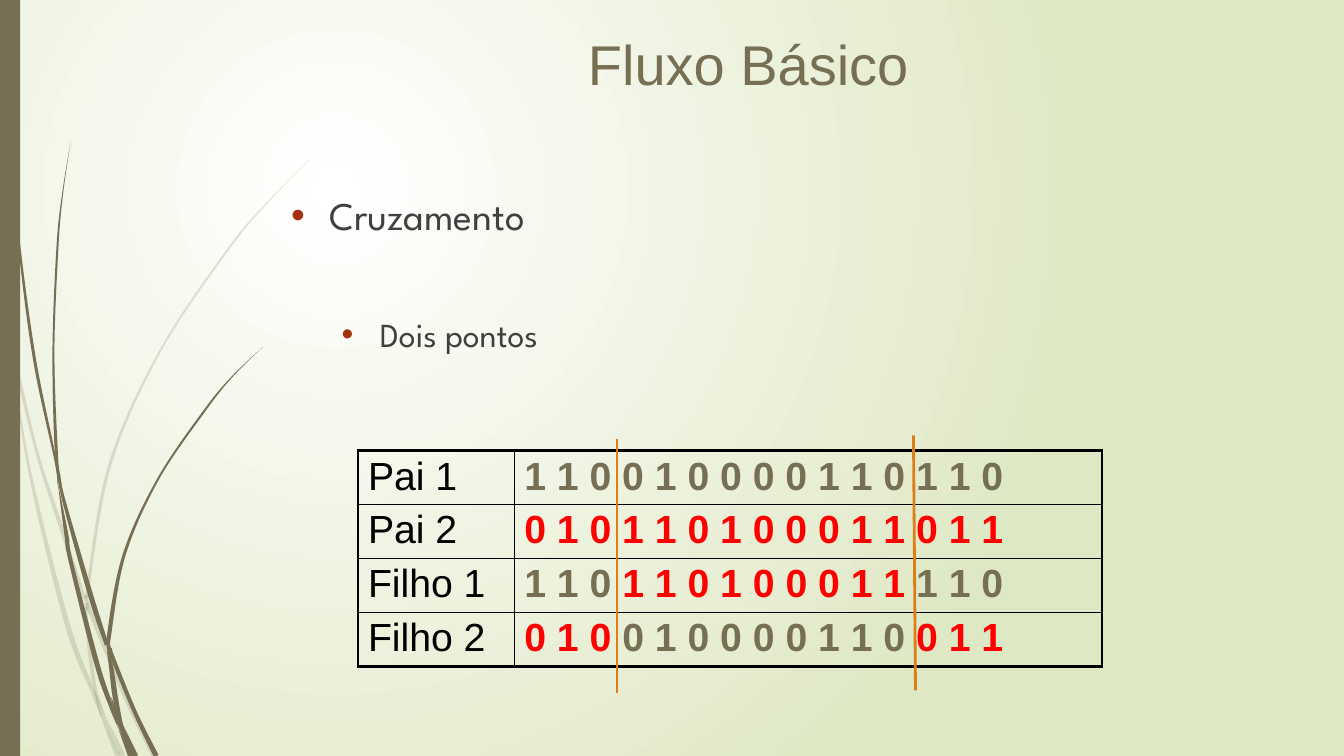
from math import hypot

from lxml import etree
from pptx import Presentation
from pptx.dml.color import RGBColor
from pptx.enum.shapes import MSO_CONNECTOR, MSO_SHAPE
from pptx.enum.text import MSO_ANCHOR, PP_ALIGN
from pptx.oxml import parse_xml
from pptx.oxml.ns import nsdecls, qn
from pptx.util import Inches, Pt

CENTER, MIDDLE = PP_ALIGN.CENTER, MSO_ANCHOR.MIDDLE
RECTANGLE, STRAIGHT = MSO_SHAPE.RECTANGLE, MSO_CONNECTOR.STRAIGHT

BROWN = RGBColor(0x76, 0x6F, 0x54)
RED = RGBColor(0xFF, 0x00, 0x00)
BLACK = RGBColor(0x00, 0x00, 0x00)
GRAY = RGBColor(0x40, 0x40, 0x40)
RUST = RGBColor(0xA5, 0x30, 0x10)
ORANGE = RGBColor(0xDE, 0x7E, 0x18)
WHITE = RGBColor(0xFF, 0xFF, 0xFF)
LIGHT_GREEN = RGBColor(0xDF, 0xE8, 0xC4)

TITLE = "Fluxo Básico"
# text, level, size, left margin in inches, space before in points
BULLETS = [("Cruzamento", 0, 28, 0.38, 10), ("Dois pontos", 1, 24, 0.88, 54)]
GENES = [
    ("Pai 1", [("1 1 0 0 1 0 0 0 0 1 1 0 1 1 0", BROWN)]),
    ("Pai 2", [("0 1 0 1 1 0 1 0 0 0 1 1 0 1 1", RED)]),
    ("Filho 1", [("1 1 0 ", BROWN), ("1 1 0 1 0 0 0 1 1 ", RED), ("1 1 0", BROWN)]),
    ("Filho 2", [("0 1 0 ", RED), ("0 1 0 0 0 0 1 1 0 ", BROWN), ("0 1 1", RED)]),
]
CUTS = [(6.12, 4.36, 6.12, 6.88), (9.06, 4.32, 9.08, 6.85)]

# Strokes of the grass blades: centre line as x, y and width, in inches
PALE_STROKES = [
    [(0, 2.9, 0.04), (0.05, 3.14, 0.03), (0.11, 3.5, 0)],
    [(0.14, 3.45, 0), (0.16, 3.62, 0.03), (0.37, 4.5, 0.03),
     (0.6, 5.21, 0.04), (0.84, 5.94, 0.03)],
    [(0.88, 5.98, 0.02), (0.9, 6.08, 0.04), (1.25, 6.93, 0.04), (1.53, 7.5, 0.05)],
    [(0.11, 3.5, 0), (0.3, 4.7, 0.03), (0.67, 6.2, 0.05), (0.93, 6.88, 0.04), (1.01, 7.14, 0)],
    [(1.01, 7.14, 0), (1.17, 7.5, 0.05)],
    [(3.12, 1.53, 0), (2.68, 1.98, 0.01), (2.28, 2.45, 0.02), (1.59, 3.48, 0.02),
     (1.09, 4.61, 0.03), (0.87, 5.84, 0.03), (0.87, 5.92, 0.02)],
    [(0.86, 5.9, 0.02), (0.86, 6, 0.04), (0.88, 6.09, 0)],
    [(0.85, 6.02, 0.02), (0.89, 6.46, 0.04), (0.95, 6.85, 0.03), (1.05, 7.11, 0)],
    [(0.93, 6.83, 0), (1.02, 7.1, 0.04), (1.19, 7.5, 0)],
    [(1.05, 7.11, 0), (1.22, 7.5, 0.05)],
]
DARK_STROKES = [
    [(0.03, 0, 0.01), (0.05, 0.48, 0.01), (0.08, 1.1, 0.01), (0.18, 2.33, 0.02),
     (0.34, 3.55, 0.03), (0.55, 4.57, 0.02), (0.57, 4.81, 0)],
    [(0.6, 4.72, 0), (0.63, 4.95, 0.03), (0.9, 5.91, 0.05), (1.06, 6.4, 0.04)],
    [(1.1, 6.43, 0.02), (1.12, 6.53, 0.04), (1.34, 7.07, 0.04), (1.55, 7.5, 0.05)],
    [(0.7, 1.41, 0), (0.62, 1.93, 0.01), (0.57, 2.45, 0.02),
     (0.53, 3.49, 0.02), (0.56, 4.51, 0.03), (0.6, 4.72, 0)],
    [(0.55, 4.49, 0), (0.59, 4.77, 0.03), (0.64, 5.05, 0)],
    [(0.57, 4.77, 0), (0.66, 5.31, 0.04), (0.7, 5.56, 0.04), (0.96, 6.58, 0.05),
     (1.1, 7, 0.04), (1.17, 7.22, 0)],
    [(1.17, 7.22, 0), (1.29, 7.5, 0.04)],
    [(2.61, 3.44, 0), (2.31, 3.73, 0.01), (2.04, 4.06, 0.02), (1.57, 4.75, 0.02),
     (1.23, 5.51, 0.03), (1.08, 6.32, 0.04), (1.1, 6.41, 0)],
    [(1.06, 6.31, 0), (1.08, 6.43, 0.04), (1.11, 6.56, 0)],
    [(1.06, 6.45, 0), (1.1, 6.6, 0.04), (1.15, 6.95, 0.05), (1.22, 7.19, 0)],
    [(1.1, 6.91, 0), (1.19, 7.18, 0.05), (1.32, 7.5, 0.03)],
    [(1.22, 7.19, 0), (1.35, 7.5, 0.04)],
]


def curve_sides(outline):
    """Turn both long sides of a straight-edged outline into Bézier curves."""
    knots = [(int(pt.get("x")), int(pt.get("y"))) for pt in outline.iter(qn("a:pt"))]
    half = len(knots) // 2
    for start in (0, half):
        side = knots[start:start + half]
        ends = [side[0], *side, side[-1]]
        for i, (a, b, c, d) in enumerate(zip(ends, ends[1:], ends[2:], ends[3:])):
            curve = etree.Element(qn("a:cubicBezTo"))
            handle_b = [q + (r - p) // 6 for p, q, r in zip(a, b, c)]
            handle_c = [q - (r - p) // 6 for p, q, r in zip(b, c, d)]
            for x, y in (handle_b, handle_c, c):
                etree.SubElement(curve, qn("a:pt"), x=str(x), y=str(y))
            outline.replace(outline[start + i + 1], curve)


def add_stroke(s, points, alpha=None):
    left, right = [], []
    for i, (x, y, w) in enumerate(points):
        x0, y0, _ = points[max(i - 1, 0)]
        x1, y1, _ = points[min(i + 1, len(points) - 1)]
        k = w / 2 / hypot(x1 - x0, y1 - y0)
        dx, dy = (y1 - y0) * k, (x0 - x1) * k
        left.append((Inches(x + dx), Inches(y + dy)))
        right.append((Inches(x - dx), Inches(y - dy)))
    builder = s.shapes.build_freeform(*left[0])
    builder.add_line_segments(left[1:] + right[::-1])
    sp = builder.convert_to_shape()
    paint(sp)
    curve_sides(sp.element.spPr.find(".//" + qn("a:path")))
    if alpha:
        color = sp.element.spPr.find(".//" + qn("a:srgbClr"))
        etree.SubElement(color, qn("a:alpha"), val=str(alpha * 1000))


def paint(sp):
    sp.shadow.inherit = False
    sp.fill.solid()
    sp.fill.fore_color.rgb = BROWN
    sp.line.fill.background()


def add_run(p, text, font, size, color, bold=False):
    r = p.add_run()
    r.text = text
    r.font.name, r.font.size, r.font.bold = font, Pt(size), bold
    r.font.color.rgb = color


def set_background(s):
    s.element.cSld.insert(0, parse_xml(
        f'<p:bg {nsdecls("p", "a")}><p:bgPr><a:gradFill rotWithShape="1"><a:gsLst>'
        f'<a:gs pos="0"><a:srgbClr val="{WHITE}"/></a:gs>'
        f'<a:gs pos="100000"><a:srgbClr val="{LIGHT_GREEN}"/></a:gs></a:gsLst>'
        '<a:path path="circle"><a:fillToRect l="50000" t="50000" r="100000" b="100000"/>'
        '</a:path></a:gradFill><a:effectLst/></p:bgPr></p:bg>'))


def add_bullets(s):
    tf = s.shapes.add_textbox(Inches(2.79), Inches(1.85), Inches(8.69), Inches(1.18)).text_frame
    tf.word_wrap = True
    for i, (text, level, size, margin, before) in enumerate(BULLETS):
        p = tf.add_paragraph() if i else tf.paragraphs[0]
        p.level, p.space_before = level, Pt(before)
        add_run(p, text, "League Spartan", size, GRAY)
        pPr = p._p.get_or_add_pPr()
        pPr.set("marL", str(Inches(margin)))
        pPr.set("indent", str(Inches(-0.38)))
        color = etree.SubElement(pPr, qn("a:buClr"))
        etree.SubElement(color, qn("a:srgbClr"), val=str(RUST))
        etree.SubElement(pPr, qn("a:buFont"), typeface="Arial")
        etree.SubElement(pPr, qn("a:buChar"), char="•")


def set_borders(cell, widths):
    tcPr = cell._tc.get_or_add_tcPr()
    for i, (side, width) in enumerate(widths.items()):
        tcPr.insert(i, parse_xml(
            f'<a:{side} {nsdecls("a")} w="{Pt(width)}"><a:solidFill>'
            f'<a:srgbClr val="{BLACK}"/></a:solidFill></a:{side}>'))


def add_genes(s):
    widths, height, last = (1.55, 5.83), 2.14, len(GENES) - 1
    table = s.shapes.add_table(len(GENES), 2, Inches(3.55), Inches(4.47),
                               Inches(sum(widths)), Inches(height)).table
    table.first_row = table.horz_banding = False
    for col, width in zip(table.columns, widths):
        col.width = Inches(width)
    for i, (name, genes) in enumerate(GENES):
        table.rows[i].height = Inches(height / len(GENES))
        for j, runs in enumerate(([(name, BLACK)], genes)):
            cell = table.cell(i, j)
            cell.margin_top, cell.margin_bottom = Inches(0.04), Inches(0.02)
            cell.fill.background()
            for text, color in runs:
                add_run(cell.text_frame.paragraphs[0], text, "Arial", 28, color, j == 1)
            outer = {"lnL": j == 0, "lnR": j == 1, "lnT": i == 0, "lnB": i == last}
            set_borders(cell, {side: 2.25 if edge else 1 for side, edge in outer.items()})


def main():
    prs = Presentation()
    prs.slide_width, prs.slide_height = Inches(13.33), Inches(7.5)
    s = prs.slides.add_slide(prs.slide_layouts[5])
    set_background(s)
    for stroke in PALE_STROKES:
        add_stroke(s, stroke, alpha=20)
    for stroke in DARK_STROKES:
        add_stroke(s, stroke)
    paint(s.shapes.add_shape(RECTANGLE, 0, 0, Inches(0.2), prs.slide_height))

    title = s.shapes.title
    title.left, title.top = Inches(3.17), 0
    title.width, title.height = Inches(8.5), Inches(1.25)
    title.text_frame.vertical_anchor = MIDDLE
    p = title.text_frame.paragraphs[0]
    p.alignment = CENTER
    add_run(p, TITLE, "Arial", 40, BROWN)

    add_bullets(s)
    add_genes(s)
    for cut in CUTS:
        line = s.shapes.add_connector(STRAIGHT, *map(Inches, cut))
        line.line.color.rgb, line.line.width = ORANGE, Pt(2)
        etree.SubElement(line.element.spPr, qn("a:effectLst"))
    prs.save("out.pptx")


if __name__ == "__main__":
    main()
